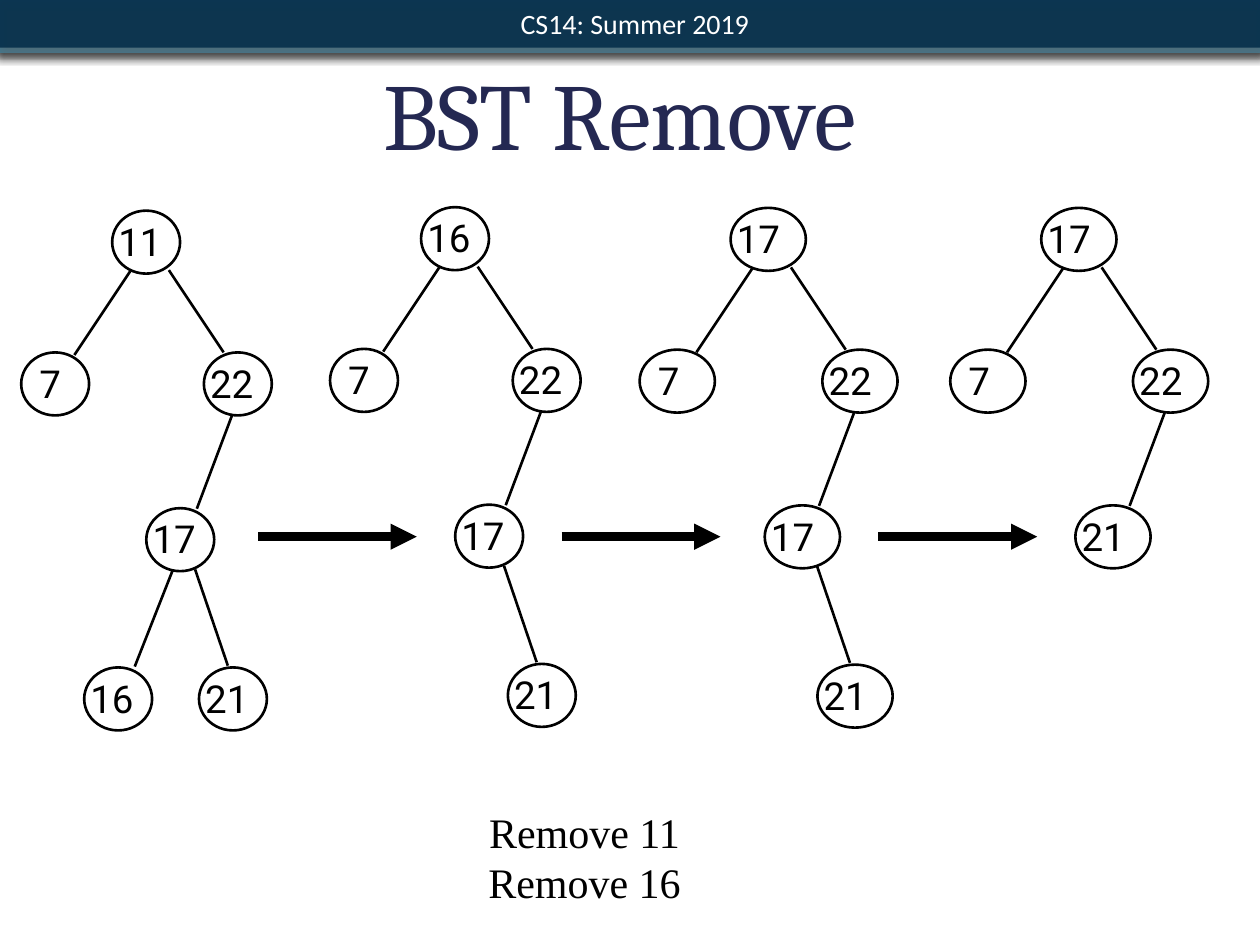
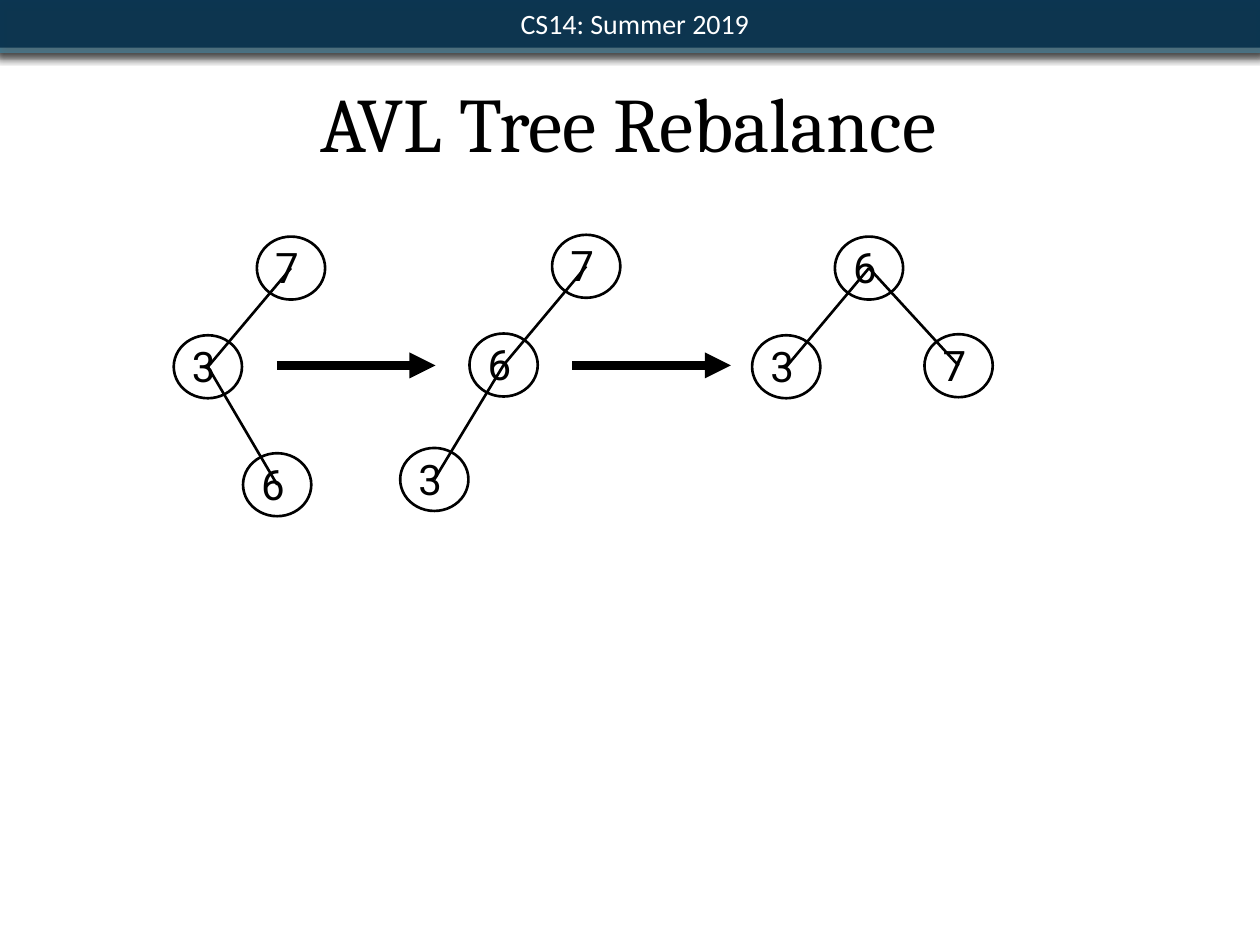
from dataclasses import dataclass

from lxml import etree
from pptx import Presentation
from pptx.dml.color import RGBColor
from pptx.enum.shapes import MSO_CONNECTOR, MSO_SHAPE
from pptx.enum.text import MSO_ANCHOR, PP_ALIGN
from pptx.oxml.ns import qn
from pptx.util import Pt

RECT, OVAL = MSO_SHAPE.RECTANGLE, MSO_SHAPE.OVAL
LINE = MSO_CONNECTOR.STRAIGHT
LEFT, MID = PP_ALIGN.LEFT, PP_ALIGN.CENTER
TOP, HALF = MSO_ANCHOR.TOP, MSO_ANCHOR.MIDDLE


@dataclass(frozen=True)
class Theme:
    ink: str = "000000"
    navy: str = "242852"
    band: str = "062F4B"
    edge: str = "427A92"
    pale: str = "FFFFFF"
    gray: str = "5E5E5E"
    head: str = "Cambria"
    bar: str = "Calibri"
    note: str = "Times New Roman"
    node: str = "Roboto"
    thin: float = 1.5
    thick: float = 5


T = Theme()

# Content: all lengths in points
COURSE = "CS14: Summer 2019"
STEPS = ["Remove 11", "Remove 16"]

# Centre of each node, measured from the root's centre
SPOTS = {"root": (0, 0), "L": (-52, 81), "R": (52.4, 81),
         "RL": (19.5, 170), "RLL": (-16, 261), "RLR": (49.6, 261)}
# Branch leading to each node, measured the same way
LINKS = {"L": (-9, 16.5, -41, 64.5), "R": (13, 16, 44.3, 63),
         "RL": (49, 99.2, 29, 152.3), "RLL": (15, 188, -6.5, 242.5),
         "RLR": (28, 187, 46.7, 242)}
# Root x, root y, node width, values by place
BST = [
    (83.5, 138.4, 38.8, {"root": 11, "L": 7, "R": 22, "RL": 17,
                         "RLL": 16, "RLR": 21}),
    (260, 136.4, 38.8, {"root": 16, "L": 7, "R": 22, "RL": 17, "RLR": 21}),
    (439, 136.8, 43, {"root": 17, "L": 7, "R": 22, "RL": 17, "RLR": 21}),
    (616.5, 136.8, 43, {"root": 17, "L": 7, "R": 22, "RL": 21}),
]
BST_ARROWS = [147.5, 321, 502]

# Nodes as value, x, y; then pairs of nodes to join
AVL = [
    ([(7, 166.3, 153.2), (3, 118.8, 209.6), (6, 158.4, 277)],
     [(0, 1), (1, 2)]),
    ([(7, 335, 152.2), (6, 287.8, 208.6), (3, 248.2, 274)],
     [(0, 1), (1, 2)]),
    ([(6, 496.6, 153.2), (7, 547.8, 209), (3, 449.3, 209.6)],
     [(0, 1), (0, 2)]),
]
AVL_ARROWS = [158.2, 327]
NODE_W, NODE_H, ARROW = 39, 36, 90.7


def rgb(hue):
    return RGBColor.from_string(hue)


def put(box, text, size=22, font=T.node, hue=T.ink, align=LEFT,
        anchor=HALF, pad=3.6, indent=0, lead=None):
    """Write one paragraph per line of text into a shape."""
    frame = box.text_frame
    frame.word_wrap = True
    frame.vertical_anchor = anchor
    frame.margin_left = frame.margin_right = Pt(pad)
    frame.margin_top = frame.margin_bottom = Pt(pad)
    for i, row in enumerate(text.split("\n")):
        para = frame.add_paragraph() if i else frame.paragraphs[0]
        para.alignment = align
        if lead:
            para.line_spacing = Pt(lead)
        if indent:
            para._p.get_or_add_pPr().set("indent", str(Pt(indent)))
        run = para.add_run()
        run.text = row
        run.font.size, run.font.name = Pt(size), font
        run.font.color.rgb = rgb(hue)


def label(slide, x, y, w, h, text, **style):
    put(slide.shapes.add_textbox(Pt(x), Pt(y), Pt(w), Pt(h)), text, **style)


def strip(slide, x, y, w, h, fill, shade, dark, alpha=None):
    """Band with a soft shadow below it."""
    bar = slide.shapes.add_shape(RECT, Pt(x), Pt(y), Pt(w), Pt(h))
    bar.fill.solid()
    bar.fill.fore_color.rgb = rgb(fill)
    bar.line.fill.background()
    bar.shadow.inherit = False
    props = bar._element.spPr
    if alpha:
        tint = props.find(".//" + qn("a:srgbClr"))
        etree.SubElement(tint, qn("a:alpha"), val=str(alpha * 1000))
    glow = etree.SubElement(props.find(qn("a:effectLst")), qn("a:outerShdw"),
                            blurRad=str(Pt(5)), dist=str(Pt(2)),
                            dir="5400000", rotWithShape="0")
    tone = etree.SubElement(glow, qn("a:srgbClr"), val=shade)
    etree.SubElement(tone, qn("a:alpha"), val=str(dark * 1000))
    return bar


def start(deck, title, x, y, w, h, **style):
    """Blank slide with the course band and a title."""
    slide = deck.slides.add_slide(deck.slide_layouts[6])
    strip(slide, -3, -4.2, 725, 34.5, T.edge, T.ink, 75)
    bar = strip(slide, -0.7, 0, 722, 27.2, T.band, T.gray, 50, alpha=90)
    put(bar, COURSE, size=16, font=T.bar, hue=T.pale, align=MID,
        pad=4.3, indent=5)
    label(slide, x, y, w, h, title, font=T.head, align=MID, anchor=TOP,
          **style)
    return slide


def line(slide, x1, y1, x2, y2, width=T.thin, arrow=False):
    link = slide.shapes.add_connector(LINE, Pt(x1), Pt(y1), Pt(x2), Pt(y2))
    link.line.width = Pt(width)
    link.line.color.rgb = rgb(T.ink)
    if arrow:
        etree.SubElement(link.line._get_or_add_ln(), qn("a:tailEnd"),
                         type="triangle")
    etree.SubElement(link._element.spPr, qn("a:effectLst"))


def node(slide, value, x, y, width=NODE_W, size=22):
    """Ring centred on x, y with its value; one digit sits further in."""
    left, top = x - width / 2, y - NODE_H / 2
    shift = 6.8 if value < 10 else 0
    label(slide, left + shift, top - 0.7, 44, NODE_H, str(value), size=size)
    ring = slide.shapes.add_shape(OVAL, Pt(left), Pt(top), Pt(width),
                                  Pt(NODE_H))
    ring.fill.background()
    ring.line.color.rgb = rgb(T.ink)
    ring.line.width = Pt(T.thin)
    ring.shadow.inherit = False


def arrows(slide, starts, y):
    for x in starts:
        line(slide, x, y, x + ARROW, y, width=T.thick, arrow=True)


def remove(deck):
    slide = start(deck, "BST Remove ", 54, 35.3, 612, 67, size=54,
                  hue=T.navy, lead=58)
    for x, y, width, tree in BST:
        for place, value in tree.items():
            dx, dy = SPOTS[place]
            node(slide, value, x + dx, y + dy, width)
            if place in LINKS:
                x1, y1, x2, y2 = LINKS[place]
                line(slide, x + x1, y + y1, x + x2, y + y2)
    arrows(slide, BST_ARROWS, 306.7)
    label(slide, 178, 457.2, 276, 60.5, "\n".join(STEPS), size=24,
          font=T.note, align=MID, anchor=TOP, indent=36)


def balance(deck):
    slide = start(deck, "AVL Tree Rebalance", 35.3, 39.6, 648, 60.5, size=44)
    for nodes, pairs in AVL:
        for value, x, y in nodes:
            node(slide, value, x, y, size=24)
        for a, b in pairs:
            line(slide, *nodes[a][1:], *nodes[b][1:])
    arrows(slide, AVL_ARROWS, 208.8)


def main():
    deck = Presentation()
    deck.slide_width, deck.slide_height = Pt(720), Pt(540)
    remove(deck)
    balance(deck)
    deck.save("out.pptx")


if __name__ == "__main__":
    main()
